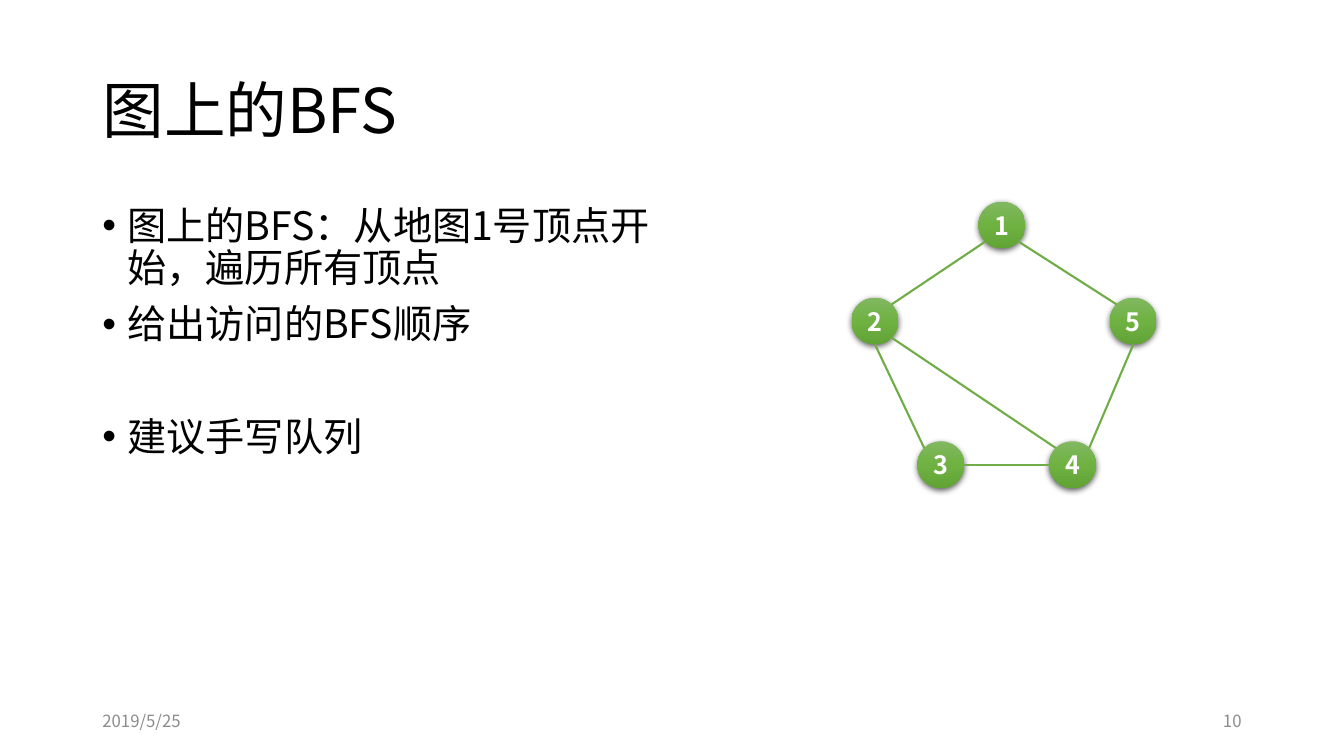
import copy
import math
from dataclasses import dataclass

import pptx
import pptx.dml.color
import pptx.enum.shapes
import pptx.enum.text
import pptx.oxml.ns
import pptx.util
from lxml import etree

Cm = pptx.util.Cm
Pt = pptx.util.Pt
qn = pptx.oxml.ns.qn
Align = pptx.enum.text.PP_ALIGN
Anchor = pptx.enum.text.MSO_ANCHOR


@dataclass(frozen=True)
class Theme:
    font: str = "Noto Sans CJK SC"
    text: str = "000000"
    muted: str = "8C8C8C"
    node_text: str = "FFFFFF"
    edge: str = "70AD47"
    node_stops: tuple = ((0, "81B861"), (0.5, "6FB242"), (1, "62A336"))
    title_size: int = 44
    body_size: int = 28
    node_size: int = 18
    footer_size: int = 12


def rgb(value):
    return pptx.dml.color.RGBColor.from_string(value)


def write(paragraph, text, font, size, color, bold=False, align=Align.LEFT,
          line_spacing=1.0, space_before=0):
    paragraph.alignment = align
    paragraph.line_spacing = line_spacing
    paragraph.space_before = Pt(space_before)
    run = paragraph.add_run()
    run.text = text
    run.font.name = font
    run.font.size = Pt(size)
    run.font.bold = bold
    run.font.color.rgb = rgb(color)
    etree.SubElement(run.font._element, qn("a:ea"), typeface=font)


class SlideBuilder:
    def __init__(self, slide, theme):
        self.slide = slide
        self.theme = theme

    def title(self, text, left, top, width, height):
        shape = self.slide.shapes.title
        shape.left, shape.top = Cm(left), Cm(top)
        shape.width, shape.height = Cm(width), Cm(height)
        shape.text_frame.vertical_anchor = Anchor.MIDDLE
        write(shape.text_frame.paragraphs[0], text, self.theme.font,
              self.theme.title_size, self.theme.text, line_spacing=0.9)

    def text_box(self, left, top, width, height, anchor=Anchor.TOP):
        box = self.slide.shapes.add_textbox(Cm(left), Cm(top), Cm(width), Cm(height))
        box.text_frame.word_wrap = True
        box.text_frame.vertical_anchor = anchor
        return box.text_frame

    def bullets(self, items, left, top, width, height):
        frame = self.text_box(left, top, width, height)
        for index, (text, space_before) in enumerate(items):
            paragraph = frame.add_paragraph() if index else frame.paragraphs[0]
            write(paragraph, text, self.theme.font, self.theme.body_size,
                  self.theme.text, line_spacing=0.9, space_before=space_before)
            properties = paragraph._p.get_or_add_pPr()
            indent = Cm(0.635)
            properties.set("marL", str(indent))
            properties.set("indent", str(-indent))
            etree.SubElement(properties, qn("a:buFont"), typeface="Arial")
            etree.SubElement(properties, qn("a:buChar"), char="•")

    def footer(self, text, left, align):
        frame = self.text_box(left, 17.65, 7.62, 1.01, Anchor.MIDDLE)
        write(frame.paragraphs[0], text, self.theme.font,
              self.theme.footer_size, self.theme.muted, align=align)

    def node(self, group, label, center, diameter):
        left, top = (Cm(value - diameter / 2) for value in center)
        shape = group.shapes.add_shape(pptx.enum.shapes.MSO_SHAPE.OVAL, left, top,
                                       Cm(diameter), Cm(diameter))
        shape.line.fill.background()
        self.node_fill(shape)
        self.node_shadow(shape)
        frame = shape.text_frame
        frame.margin_left = frame.margin_right = 0
        frame.margin_top = frame.margin_bottom = 0
        frame.word_wrap = False
        frame.vertical_anchor = Anchor.MIDDLE
        write(frame.paragraphs[0], label, self.theme.font, self.theme.node_size,
              self.theme.node_text, bold=True, align=Align.CENTER)

    def node_fill(self, shape):
        shape.fill.gradient()
        shape.fill.gradient_angle = 270
        stop_list = shape._element.spPr.find(".//" + qn("a:gsLst"))
        stop_list.append(copy.deepcopy(stop_list[-1]))
        for stop, (position, color) in zip(shape.fill.gradient_stops,
                                           self.theme.node_stops):
            stop.position = position
            stop.color.rgb = rgb(color)

    def node_shadow(self, shape):
        shape.shadow.inherit = False
        effects = shape._element.spPr.find(qn("a:effectLst"))
        shadow = etree.SubElement(effects, qn("a:outerShdw"), blurRad=str(Pt(4.5)),
                                  dist=str(Pt(1.5)), dir="5400000",
                                  algn="ctr", rotWithShape="0")
        color = etree.SubElement(shadow, qn("a:srgbClr"), val="000000")
        etree.SubElement(color, qn("a:alpha"), val="63000")

    def edge(self, group, start, end):
        line = group.shapes.add_connector(
            pptx.enum.shapes.MSO_CONNECTOR.STRAIGHT,
            *(Cm(value) for value in (*start, *end)))
        line.line.color.rgb = rgb(self.theme.edge)
        line.line.width = Pt(1.5)
        etree.SubElement(line._element.spPr, qn("a:effectLst"))

    def graph(self, centers, edges, diameter):
        def rim(label, degrees):
            x, y = centers[label]
            angle = math.radians(degrees)
            return (x + diameter / 2 * math.cos(angle),
                    y + diameter / 2 * math.sin(angle))

        group = self.slide.shapes.add_group_shape()
        for label, center in centers.items():
            self.node(group, label, center, diameter)
        for start, start_angle, end, end_angle in edges:
            self.edge(group, rim(start, start_angle), rim(end, end_angle))


def main():
    presentation = pptx.Presentation()
    presentation.slide_width = Cm(33.87)
    presentation.slide_height = Cm(19.05)
    slide = presentation.slides.add_slide(presentation.slide_layouts[5])
    builder = SlideBuilder(slide, Theme())

    # Title and bullets; the last bullet stands apart
    builder.title("图上的BFS", 2.33, 1.01, 29.21, 3.68)
    builder.bullets([("图上的BFS：从地图1号顶点开始，遍历所有顶点", 10),
                     ("给出访问的BFS顺序", 10),
                     ("建议手写队列", 50)], 2.33, 5.07, 14.4, 12.09)

    # Footer
    builder.footer("2019/5/25", 2.33, Align.LEFT)
    builder.footer("10", 23.92, Align.RIGHT)

    # Graph: edge ends are angles on the node rim, clockwise from the right
    centers = {"1": (25.25, 5.67), "2": (22.05, 8.09), "3": (23.71, 11.71),
               "5": (28.56, 8.09), "4": (27.03, 11.71)}
    edges = [("1", 135, "2", 315), ("1", 45, "5", 225), ("2", 90, "3", 225),
             ("3", 0, "4", 180), ("5", 90, "4", 315), ("2", 45, "4", 225)]
    builder.graph(centers, edges, diameter=1.18)

    presentation.save("out.pptx")


if __name__ == "__main__":
    main()
